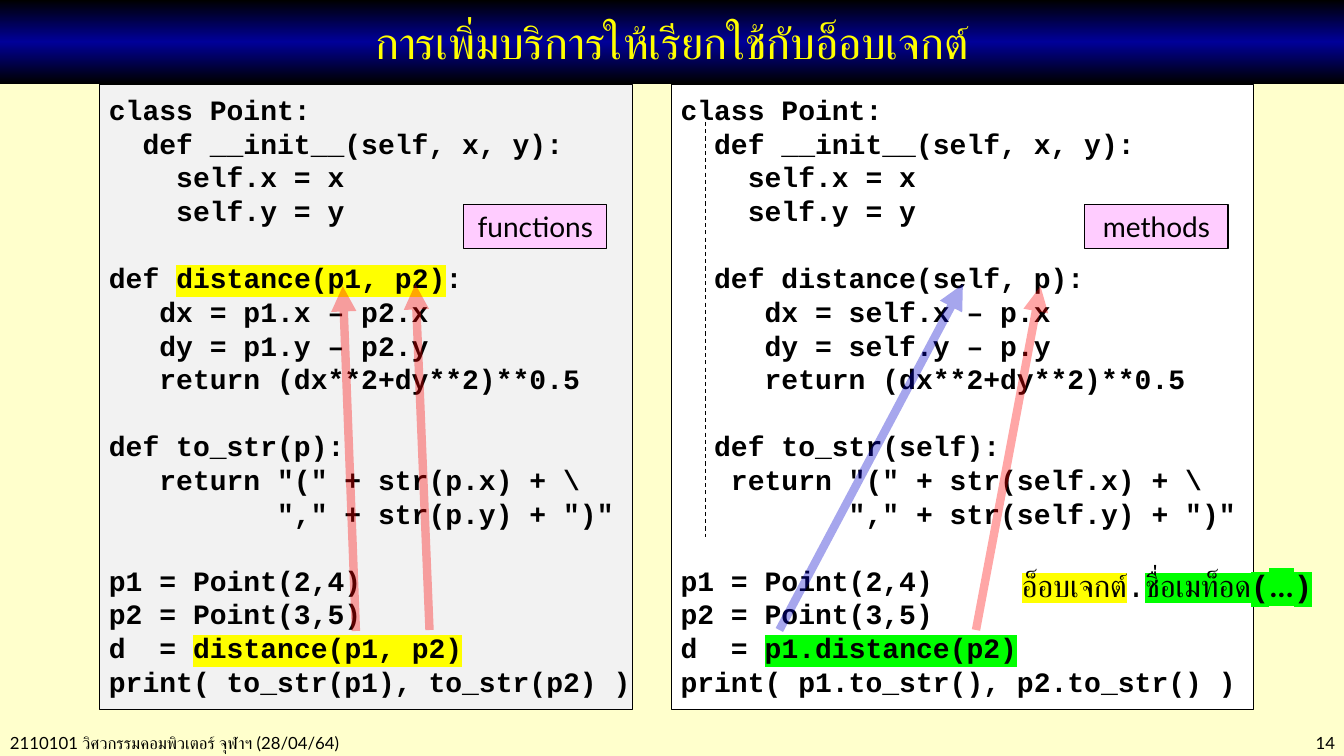
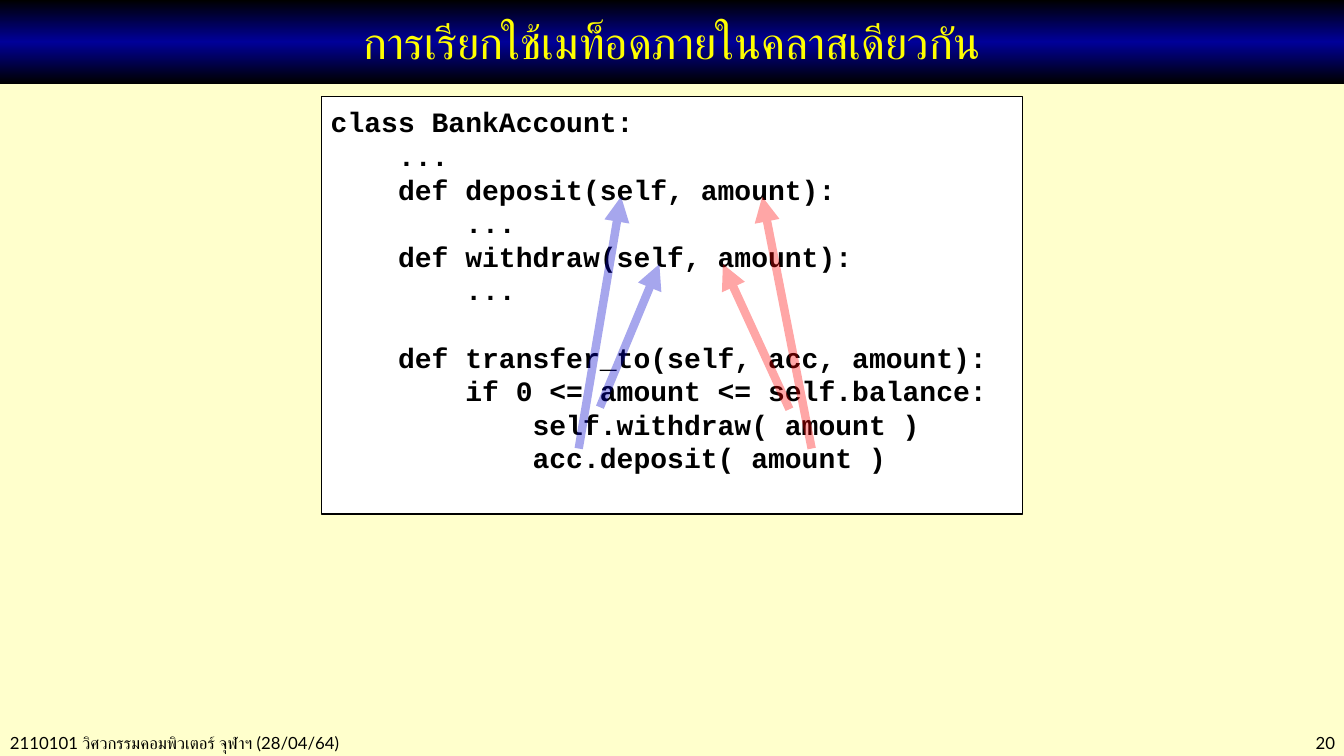
from copy import deepcopy

from pptx import Presentation
from pptx.dml.color import RGBColor
from pptx.enum.dml import MSO_LINE
from pptx.enum.shapes import MSO_CONNECTOR, MSO_SHAPE
from pptx.enum.text import MSO_ANCHOR, PP_ALIGN
from pptx.oxml.ns import qn
from pptx.oxml.xmlchemy import OxmlElement
from pptx.util import Inches, Pt

COLORS = {
    "background": "FFFFCC",
    "black": "000000",
    "white": "FFFFFF",
    "band": "000099",
    "title": "FFFF00",
    "gray": "F2F2F2",
    "label": "FFCCFF",
    "yellow": "FFFF00",
    "green": "00FF00",
    "red": "FF0000",
    "blue": "0000CC",
}
TEXT_FONT = "Lato"
CODE_FONT = "Courier New"
CODE_LINE = Pt(24)
FOOTER = "2110101 วิศวกรรมคอมพิวเตอร์ จุฬาฯ (28/04/64)"

FUNCTIONS_CODE = r'''class Point:
  def __init__(self, x, y):
    self.x = x
    self.y = y

def distance(p1, p2):
   dx = p1.x – p2.x
   dy = p1.y – p2.y
   return (dx**2+dy**2)**0.5

def to_str(p):
   return "(" + str(p.x) + \
          "," + str(p.y) + ")"

p1 = Point(2,4)
p2 = Point(3,5)
d  = distance(p1, p2)
print( to_str(p1), to_str(p2) )'''

METHODS_CODE = r'''class Point:
  def __init__(self, x, y):
    self.x = x
    self.y = y

  def distance(self, p):
     dx = self.x – p.x
     dy = self.y – p.y
     return (dx**2+dy**2)**0.5

  def to_str(self):
   return "(" + str(self.x) + \
          "," + str(self.y) + ")"

p1 = Point(2,4)
p2 = Point(3,5)
d  = p1.distance(p2)
print( p1.to_str(), p2.to_str() )'''

ACCOUNT_CODE = '''class BankAccount:
    ...
    def deposit(self, amount):
        ...
    def withdraw(self, amount):
        ...

    def transfer_to(self, acc, amount):
        if 0 <= amount <= self.balance:
            self.withdraw( amount )
            acc.deposit( amount )'''


def rgb(name):
    return RGBColor.from_string(COLORS[name])


def set_font(font, size, name=TEXT_FONT, color="black", bold=False):
    font.size = Pt(size)
    font.name = name
    font.bold = bold
    font.color.rgb = rgb(color)


def highlight(run, color):
    run.font.color.rgb = rgb("black")
    mark = OxmlElement("a:highlight")
    value = OxmlElement("a:srgbClr")
    value.set("val", COLORS[color])
    mark.append(value)
    run.font._element.find(qn("a:solidFill")).addnext(mark)


def fill_band(shape):
    shape.fill.gradient()
    shape.fill.gradient_angle = 90
    for stop in shape.fill.gradient_stops:
        stop.color.rgb = rgb("black")
    stops = shape._element.spPr.find(qn("a:gradFill")).find(qn("a:gsLst"))
    stops.insert(1, deepcopy(stops[0]))
    middle = shape.fill.gradient_stops[1]
    middle.position = 0.5
    middle.color.rgb = rgb("band")


def add_text(slide, left, top, width, height, text, align):
    box = slide.shapes.add_textbox(Inches(left), Inches(top), Inches(width), Inches(height))
    box.text_frame.word_wrap = True
    paragraph = box.text_frame.paragraphs[0]
    paragraph.text = text
    paragraph.alignment = align
    set_font(paragraph.font, 12)


def add_slide(presentation, title, number):
    slide = presentation.slides.add_slide(presentation.slide_layouts[5])
    band = slide.shapes.title
    band.left, band.top = Inches(0), Inches(0)
    band.width, band.height = presentation.slide_width, Inches(0.83)
    fill_band(band)
    band.text_frame.vertical_anchor = MSO_ANCHOR.MIDDLE
    paragraph = band.text_frame.paragraphs[0]
    paragraph.text = title
    paragraph.alignment = PP_ALIGN.CENTER
    set_font(paragraph.font, 32, color="title")
    add_text(slide, 0, 7.22, 5.2, 0.3, FOOTER, PP_ALIGN.LEFT)
    add_text(slide, 11.5, 7.22, 1.84, 0.3, str(number), PP_ALIGN.RIGHT)
    return slide


def add_box(slide, left, top, width, height, fill):
    box = slide.shapes.add_shape(
        MSO_SHAPE.RECTANGLE, Inches(left), Inches(top), Inches(width), Inches(height)
    )
    box.shadow.inherit = False
    box.fill.solid()
    box.fill.fore_color.rgb = rgb(fill)
    box.line.color.rgb = rgb("black")
    box.line.width = Pt(0.75)
    return box


def add_code(slide, left, top, width, height, code, fill="white", marked=None, mark_color=None):
    frame = add_box(slide, left, top, width, height, fill).text_frame
    frame.word_wrap = True
    frame.vertical_anchor = MSO_ANCHOR.TOP
    frame.margin_left, frame.margin_right = Inches(0.09), Inches(0)
    frame.margin_top = Inches(0.08)
    paragraph = frame.paragraphs[0]
    for block_index, block in enumerate(code.split("\n\n")):
        for line_index, line in enumerate(block.split("\n")):
            if block_index or line_index:
                paragraph = frame.add_paragraph()
            if block_index and not line_index:
                paragraph.space_before = CODE_LINE
            paragraph.alignment = PP_ALIGN.LEFT
            paragraph.line_spacing = CODE_LINE
            set_font(paragraph.font, 20, CODE_FONT, bold=True)
            parts = line.partition(marked) if marked else [line]
            for part in filter(None, parts):
                run = paragraph.add_run()
                run.text = part
                if part == marked:
                    highlight(run, mark_color)


def add_label(slide, left, text):
    label = add_box(slide, left, 2.03, 1.42, 0.44, "label")
    label.text_frame.vertical_anchor = MSO_ANCHOR.MIDDLE
    paragraph = label.text_frame.paragraphs[0]
    paragraph.text = text
    paragraph.alignment = PP_ALIGN.CENTER
    set_font(paragraph.font, 20)


def add_line(slide, start, end, color, width):
    line = slide.shapes.add_connector(
        MSO_CONNECTOR.STRAIGHT, *[Inches(value) for value in (*start, *end)]
    )
    line.line.color.rgb = rgb(color)
    line.line.width = Pt(width)
    line._element.spPr.append(OxmlElement("a:effectLst"))
    return line


def add_arrow(slide, start, end, color):
    outline = add_line(slide, start, end, color, 6).line._get_or_add_ln()
    alpha = OxmlElement("a:alpha")
    alpha.set("val", "35000")
    outline.find(qn("a:solidFill"))[0].append(alpha)
    head = OxmlElement("a:tailEnd")
    head.set("type", "triangle")
    outline.append(head)


def add_call_pattern(slide):
    box = slide.shapes.add_textbox(Inches(9.82), Inches(5.46), Inches(3.51), Inches(0.65))
    frame = box.text_frame
    frame.word_wrap = True
    frame.margin_left = frame.margin_right = frame.margin_bottom = Inches(0.12)
    frame.margin_top = Inches(0.16)
    paragraph = frame.paragraphs[0]
    paragraph.alignment = PP_ALIGN.CENTER
    for text, font, bold, color in [
        ("อ็อบเจกต์", TEXT_FONT, False, "yellow"),
        (".", CODE_FONT, False, None),
        ("ชื่อเมท็อด", CODE_FONT, False, "green"),
        ("(", CODE_FONT, True, "green"),
        ("...", "Calibri", True, "green"),
        (")", CODE_FONT, True, "green"),
    ]:
        run = paragraph.add_run()
        run.text = text
        set_font(run.font, 22, font, bold=bold)
        if color:
            highlight(run, color)


def add_services_slide(presentation):
    slide = add_slide(presentation, "การเพิ่มบริการให้เรียกใช้กับอ็อบเจกต์", 14)
    add_code(slide, 0.99, 0.84, 5.28, 6.2, FUNCTIONS_CODE, "gray", "distance(p1, p2)", "yellow")
    add_code(slide, 6.66, 0.84, 5.77, 6.2, METHODS_CODE, "white", "p1.distance(p2)", "green")
    add_label(slide, 4.6, "functions")
    add_label(slide, 10.76, "methods")
    add_arrow(slide, (3.53, 6.26), (3.4, 2.84), "red")
    add_arrow(slide, (4.26, 6.25), (4.12, 2.82), "red")
    add_arrow(slide, (7.73, 6.25), (9.55, 2.82), "blue")
    add_arrow(slide, (9.68, 6.25), (10.32, 2.84), "red")
    indent_guide = add_line(slide, (7, 1.21), (7, 5.33), "black", 0.75)
    indent_guide.line.dash_style = MSO_LINE.DASH
    add_call_pattern(slide)


def add_account_slide(presentation):
    slide = add_slide(presentation, "การเรียกใช้เมท็อดภายในคลาสเดียวกัน", 20)
    add_code(slide, 3.19, 0.96, 6.95, 4.14, ACCOUNT_CODE)
    add_arrow(slide, (5.95, 4.04), (6.54, 2.62), "blue")
    add_arrow(slide, (7.83, 4.06), (7.17, 2.62), "red")
    add_arrow(slide, (5.74, 4.45), (6.16, 1.95), "blue")
    add_arrow(slide, (8.05, 4.45), (7.56, 1.95), "red")


def main():
    presentation = Presentation()
    presentation.slide_width = Inches(13.33)
    presentation.slide_height = Inches(7.5)
    background = presentation.slide_master.background.fill
    background.solid()
    background.fore_color.rgb = rgb("background")
    add_services_slide(presentation)
    add_account_slide(presentation)
    presentation.save("out.pptx")


main()
